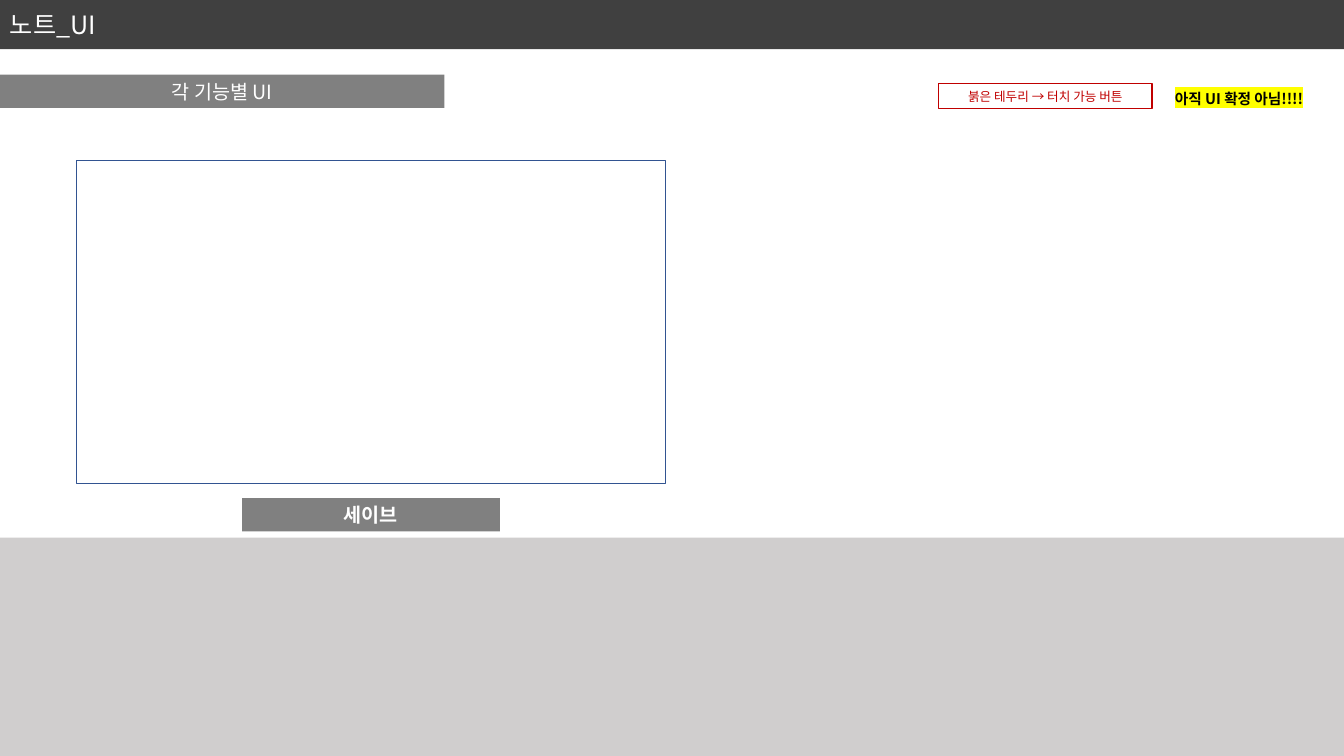
from lxml.etree import SubElement
from pptx import Presentation
from pptx.dml.color import RGBColor
from pptx.enum.shapes import MSO_SHAPE as Preset
from pptx.enum.text import MSO_ANCHOR as Anchor, MSO_AUTO_SIZE as AutoSize, PP_ALIGN as Align
from pptx.oxml.ns import qn
from pptx.util import Cm, Pt

FONT = "Noto Sans CJK KR"
WHITE = RGBColor(0xFF, 0xFF, 0xFF)
BLACK = RGBColor(0, 0, 0)
DARK = RGBColor(0x40, 0x40, 0x40)
GRAY = RGBColor(0x80, 0x80, 0x80)
PALE = RGBColor(0xD0, 0xCE, 0xCE)
BLUE = RGBColor(0x32, 0x54, 0x91)
RED = RGBColor(0xC0, 0, 0)
YELLOW = RGBColor(0xFF, 0xFF, 0)
PAGE_W, PAGE_H = 33.87, 19.05


def add_box(page, area, fill=None, line=None):
    """Add a plain rectangle; area is left, top, width, height in cm."""
    box = page.shapes.add_shape(Preset.RECTANGLE, *map(Cm, area))
    box.shadow.inherit = False
    if fill is None:
        box.fill.background()
    else:
        box.fill.solid()
        box.fill.fore_color.rgb = fill
    if line is None:
        box.line.fill.background()
    else:
        box.line.color.rgb = line
        box.line.width = Pt(1)
    return box


def write(box, text, size, color=WHITE, bold=False, align=Align.CENTER, anchor=Anchor.MIDDLE):
    """Fill a box with one styled paragraph and return its span."""
    frame = box.text_frame
    frame.word_wrap = True
    frame.vertical_anchor = anchor
    para = frame.paragraphs[0]
    para.alignment = align
    span = para.add_run()
    span.text = text
    font = para.font
    font.name, font.size, font.bold = FONT, Pt(size), bold
    font.color.rgb = color
    defaults = para._p.pPr.find(qn("a:defRPr"))
    SubElement(defaults, qn("a:ea"), typeface=FONT)
    return span


def highlight(span, color):
    """Put a marker colour behind a span."""
    mark = SubElement(span._r.get_or_add_rPr(), qn("a:highlight"))
    SubElement(mark, qn("a:srgbClr"), val=str(color))


def add_header(page, left, top, width):
    """Title bar with the section label below it."""
    write(add_box(page, (left, top, width, 1.24), DARK), "노트_UI", 18, align=Align.LEFT)
    write(add_box(page, (left, top + 1.88, 11.2, 0.84), GRAY), "각 기능별 UI", 14)


def add_note_panel(page, left, top, width, height):
    """Empty note frame with the save button centred below it."""
    add_box(page, (left, top, width, height), line=BLUE)
    button_w = 6.5
    button = add_box(page, (left + (width - button_w) / 2, top + height + 0.36, button_w, 0.84), GRAY)
    write(button, "세이브", 14, bold=True)


def add_legend(page, left, top):
    """Draft warning and the key for touchable buttons."""
    warning = page.shapes.add_textbox(*map(Cm, (left + 5.15, top + 0.03, 4.85, 0.73)))
    span = write(warning, "아직 UI 확정 아님!!!!", 10.5, BLACK, True, anchor=Anchor.TOP)
    warning.text_frame.auto_size = AutoSize.SHAPE_TO_FIT_TEXT
    highlight(span, YELLOW)
    key = add_box(page, (left, top, 5.38, 0.64), WHITE, RED)
    write(key, "붉은 테두리 → 터치 가능 버튼", 9, RED)


def build_note_page(deck):
    """Lay out the note UI slide."""
    page = deck.slides.add_slide(deck.slide_layouts[6])
    footer_top = 13.55
    add_box(page, (0, footer_top, PAGE_W, PAGE_H - footer_top), PALE)
    add_header(page, 0, 0, PAGE_W)
    add_note_panel(page, 1.93, 4.04, 14.84, 8.15)
    add_legend(page, 23.65, 2.1)


deck = Presentation()
deck.slide_width, deck.slide_height = Cm(PAGE_W), Cm(PAGE_H)
build_note_page(deck)
deck.save("out.pptx")
